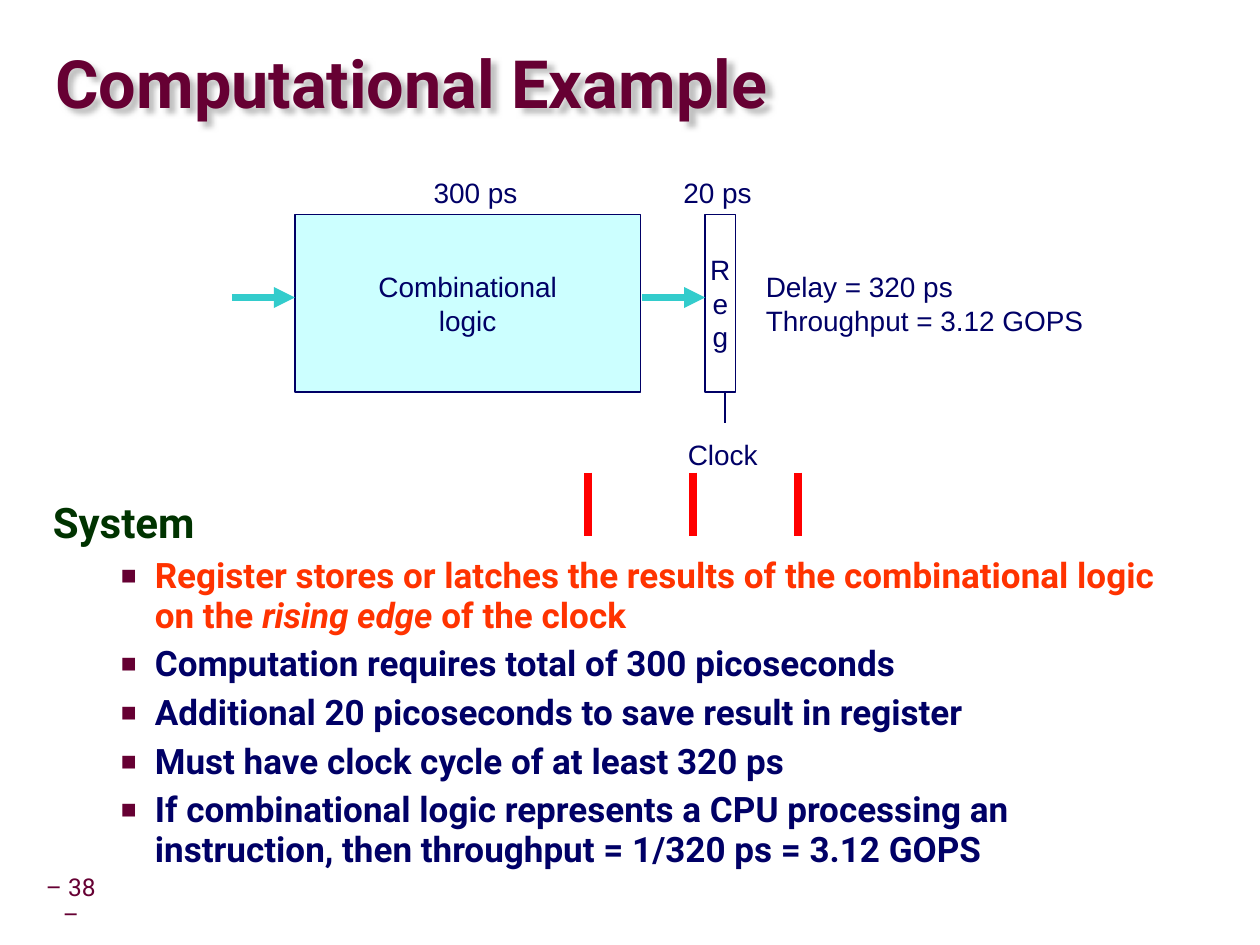
from lxml.etree import SubElement as Sub
from pptx import Presentation
from pptx.dml.color import RGBColor as RGB
from pptx.enum.shapes import MSO_CONNECTOR as Conn, MSO_SHAPE as Form
from pptx.enum.text import MSO_ANCHOR as Anchor, MSO_AUTO_SIZE as Auto, PP_ALIGN as Align
from pptx.oxml.ns import qn
from pptx.util import Pt

WINE = RGB(0x66, 0x00, 0x33)
GREEN = RGB(0x00, 0x33, 0x00)
NAVY = RGB(0x00, 0x00, 0x66)
ORANGE = RGB(0xFF, 0x33, 0x00)
CYAN = RGB(0xCC, 0xFF, 0xFF)
TEAL = RGB(0x33, 0xCC, 0xCC)
RED = RGB(0xFF, 0x00, 0x00)
WHITE = RGB(0xFF, 0xFF, 0xFF)

POINTS = [
    (ORANGE, ["Register stores or latches the results of the combinational logic on the ",
              "rising edge ", "of the clock"]),
    (NAVY, ["Computation requires total of 300 picoseconds"]),
    (NAVY, ["Additional 20 picoseconds to save result in register"]),
    (NAVY, ["Must have clock cycle of at least 320 ps"]),
    (NAVY, ["If combinational logic represents a CPU processing an instruction, "
            "then throughput = 1/320 ps = 3.12 GOPS"]),
]


def style(para, name, size, color, bold=None):
    font = para.font
    font.name, font.size, font.bold = name, Pt(size), bold
    font.color.rgb = color


def place(shape, left, top, width, height):
    shape.left, shape.top = Pt(left), Pt(top)
    shape.width, shape.height = Pt(width), Pt(height)


def indent(para, margin, hang, mark=None):
    """Set a hanging indent, with a square bullet if a mark is given."""
    props = para._p.get_or_add_pPr()
    props.set("marL", str(Pt(margin)))
    props.set("indent", str(Pt(-hang)))
    if mark is None:
        Sub(props, qn("a:buNone"))
        return
    Sub(Sub(props, qn("a:buClr")), qn("a:srgbClr"), val=str(WINE))
    Sub(props, qn("a:buSzPct"), val="75000")
    Sub(props, qn("a:buFont"), typeface="Arial")
    Sub(props, qn("a:buChar"), char=mark)


def write(shape, lines, align=Align.CENTER, anchor=Anchor.TOP):
    """Fill a diagram part with lines of unwrapped text."""
    frame = shape.text_frame
    frame.word_wrap = False
    frame.vertical_anchor = anchor
    frame.text = "\n".join(lines)
    for para in frame.paragraphs:
        para.alignment = align
        style(para, "Arial", 16, NAVY)


def add_block(shapes, box, fill, lines):
    block = shapes.add_shape(Form.RECTANGLE, *map(Pt, box))
    block.shadow.inherit = False
    block.fill.solid()
    block.fill.fore_color.rgb = fill
    block.line.color.rgb = NAVY
    block.line.width = Pt(1)
    write(block, lines, anchor=Anchor.MIDDLE)


def add_label(shapes, box, lines, align=Align.CENTER):
    write(shapes.add_textbox(*map(Pt, box)), lines, align)


def add_line(shapes, start, end, color, width, arrow=False):
    line = shapes.add_connector(Conn.STRAIGHT, *map(Pt, start + end))
    line.line.color.rgb = color
    line.line.width = Pt(width)
    props = line._element.spPr
    if arrow:
        Sub(props.find(qn("a:ln")), qn("a:tailEnd"), type="triangle")
    Sub(props, qn("a:effectLst"))


def add_title(slide, left, top, width, height):
    title = slide.shapes.title
    place(title, left, top, width, height)
    frame = title.text_frame
    frame.text = "Computational Example"
    frame.auto_size = Auto.NONE
    frame.vertical_anchor = Anchor.MIDDLE
    frame.margin_left = frame.margin_right = frame.margin_top = frame.margin_bottom = 0
    para = frame.paragraphs[0]
    para.alignment = Align.LEFT
    para.line_spacing = 0.87
    style(para, "Roboto", 38, WINE, True)
    effects = Sub(title._element.spPr, qn("a:effectLst"))
    shadow = Sub(effects, qn("a:outerShdw"), blurRad=str(Pt(3)), dist=str(Pt(4)),
                 dir="2700000", algn="tl")
    Sub(shadow, qn("a:srgbClr"), val="C0C0C0")


def add_body(slide, left, top, width, height):
    body = slide.placeholders[1]
    place(body, left, top, width, height)
    frame = body.text_frame
    frame.auto_size = Auto.NONE
    head = frame.paragraphs[0]
    head.text = "System"
    indent(head, 30, 30)
    head.space_before = Pt(0)
    head.line_spacing = 0.95
    style(head, "Roboto", 24, GREEN, True)
    for color, parts in POINTS:
        para = frame.add_paragraph()
        para.level = 1
        indent(para, 58.3, 19.4, "■")
        para.space_before = Pt(5)
        para.line_spacing = 0.95
        style(para, "Roboto", 20, color, True)
        for i, part in enumerate(parts):
            run = para.add_run()
            run.text = part
            if i == 1:
                run.font.italic = True


def add_circuit(slide, left, top):
    """Draw the logic block, its register and their labels."""
    shapes = slide.shapes.add_group_shape().shapes
    wide, tall, thin, gap = 197.5, 101.5, 17.3, 36
    logic, roof = left + gap, top + 26
    reg = logic + wide + gap + 1
    add_block(shapes, (logic, roof, wide, tall), CYAN, ["Combinational", "logic"])
    add_block(shapes, (reg, roof, thin, tall), WHITE, "Reg")
    add_label(shapes, (logic + 72, top, 62.5, 26.5), ["300 ps"])
    add_label(shapes, (reg - 20, top, 54, 26.5), ["20 ps"])
    for end in (logic, reg):
        add_line(shapes, (end - gap, roof + 47.5), (end, roof + 47.5), TEAL, 4, True)
    pin, floor = reg + 11.5, roof + tall
    add_line(shapes, (pin, floor), (pin, floor + 18), NAVY, 1)
    add_label(shapes, (reg - 18, floor + 22.5, 56, 26.5), ["Clock"])
    add_label(shapes, (reg + 27.5, roof + 28, 198, 46),
              ["Delay = 320 ps", "Throughput = 3.12 GOPS"], Align.LEFT)


def add_ticks(slide, left, top, step, height):
    for i in range(3):
        x = left + i * step
        add_line(slide.shapes, (x, top), (x, top + height), RED, 5)


def add_number(slide, left, top, width, height):
    box = slide.shapes.add_textbox(*map(Pt, (left, top, width, height)))
    frame = box.text_frame
    frame.word_wrap = False
    frame.vertical_anchor = Anchor.MIDDLE
    frame.margin_left = frame.margin_right = Pt(3.6)
    para = frame.paragraphs[0]
    para.text = "– 38 –"
    para.alignment = Align.CENTER
    para.line_spacing = 0.9
    style(para, "Roboto", 14, WINE)


def main():
    deck = Presentation()
    deck.slide_width, deck.slide_height = Pt(720), Pt(540)
    slide = deck.slides.add_slide(deck.slide_layouts[1])
    add_number(slide, 16.5, 504, 48, 23)
    add_title(slide, 31.7, 19.4, 686, 61)
    add_body(slide, 23, 282, 654, 225)
    add_circuit(slide, 132.5, 96.5)
    add_ticks(slide, 336, 270, 60, 36)
    deck.save("out.pptx")


if __name__ == "__main__":
    main()
